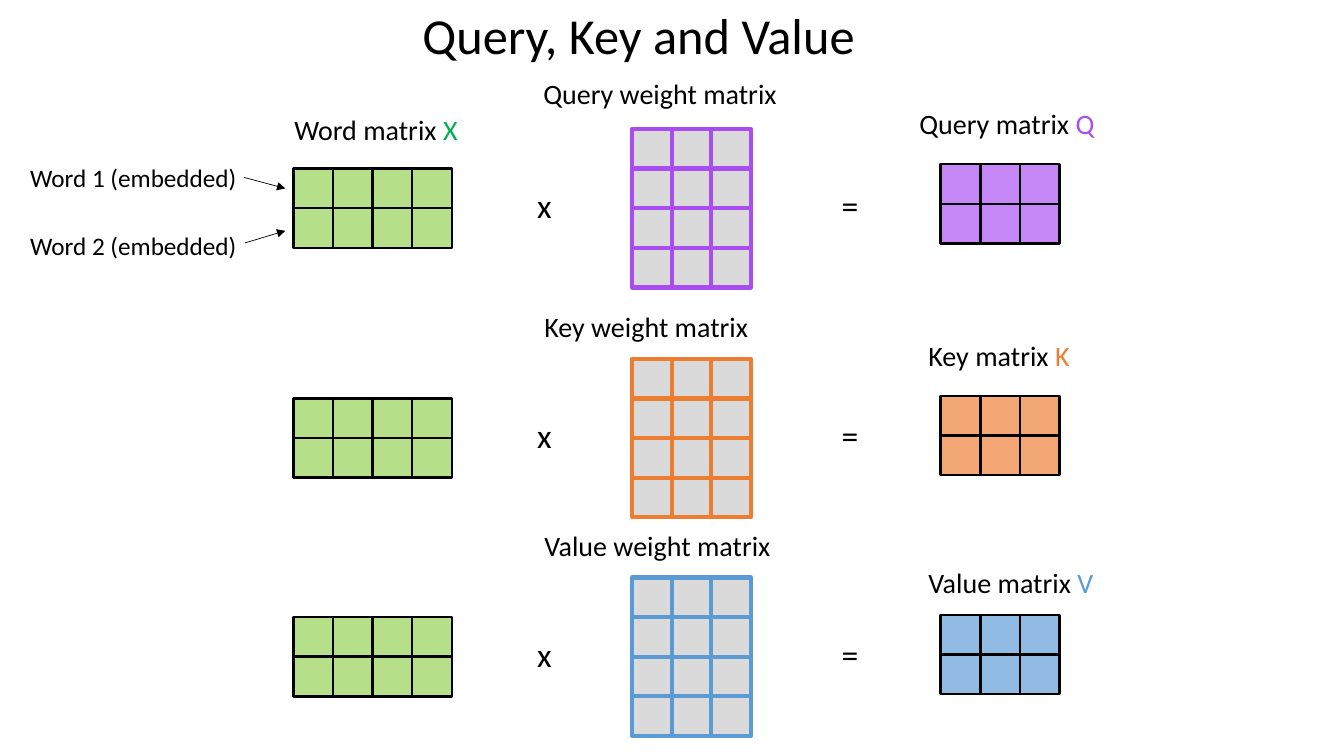
from dataclasses import dataclass
from itertools import product

from lxml import etree
from pptx import Presentation
from pptx import util as u
from pptx.dml.color import RGBColor
from pptx.enum import shapes, text
from pptx.oxml.ns import qn


@dataclass(frozen=True)
class Theme:
    """Colours, font and type sizes of the slide."""
    font: str = "Calibri"
    ink: str = "000000"
    word: str = "92D050"
    mark: str = "00B050"
    grey: str = "C9C9C9"
    query: str = "A94CF2"
    key: str = "ED7D31"
    value: str = "5B9BD5"
    title: int = 36
    sign: int = 24
    label: int = 20
    note: int = 18
    cell: float = 0.393


class Board:
    """Draws styled elements on one slide."""

    def __init__(self, slide, theme):
        """Keep the slide and its theme."""
        self.slide, self.theme = slide, theme

    def letter(self, frame, words, size, tail="", color=None, wrap=True):
        """Fill a frame with words and an optional coloured tail."""
        frame.word_wrap = wrap
        frame.auto_size = text.MSO_AUTO_SIZE.NONE
        frame.vertical_anchor = text.MSO_ANCHOR.TOP
        para = frame.paragraphs[0]
        para.alignment = text.PP_ALIGN.LEFT
        for part, tint in ((words, self.theme.ink), (tail, color)):
            if part:
                run = para.add_run()
                run.text = part
                run.font.name = self.theme.font
                run.font.size = u.Pt(size)
                run.font.color.rgb = RGBColor.from_string(tint)

    def title(self, words, *box):
        """Place the title placeholder."""
        shape = self.slide.shapes.title
        shape.left, shape.top, shape.width, shape.height = map(u.Inches, box)
        self.letter(shape.text_frame, words, self.theme.title)

    def label(self, words, box, size, **style):
        """Add a text box."""
        shape = self.slide.shapes.add_textbox(*map(u.Inches, box))
        self.letter(shape.text_frame, words, size, **style)

    def square(self, left, top, fill, line, width):
        """Add one translucent matrix cell."""
        side = self.theme.cell
        box = map(u.Inches, (left, top, side, side))
        shape = self.slide.shapes.add_shape(shapes.MSO_SHAPE.RECTANGLE, *box)
        shape.shadow.inherit = False
        shape.fill.solid()
        shape.fill.fore_color.rgb = RGBColor.from_string(fill)
        tint = shape._element.spPr.find(qn("a:solidFill"))[0]
        etree.SubElement(tint, qn("a:alpha")).set("val", "67000")
        shape.line.color.rgb = RGBColor.from_string(line)
        shape.line.width = u.Pt(width)

    def matrix(self, left, top, rows, cols, fill, line=None, width=1.75):
        """Add a grid of cells."""
        side = self.theme.cell
        for row, col in product(range(rows), range(cols)):
            self.square(left + col * side, top + row * side,
                        fill, line or self.theme.ink, width)

    def arrow(self, *ends):
        """Add a thin arrow."""
        line = self.slide.shapes.add_connector(
            shapes.MSO_CONNECTOR.STRAIGHT, *map(u.Inches, ends))
        line.line.color.rgb = RGBColor.from_string(self.theme.ink)
        line.line.width = u.Pt(0.5)
        form = line._element.spPr
        head = etree.SubElement(form.find(qn("a:ln")), qn("a:tailEnd"))
        head.set("type", "triangle")
        etree.SubElement(form, qn("a:effectLst"))


def main():
    """Build and save the slide."""
    deck = Presentation()
    deck.slide_width, deck.slide_height = u.Inches(13.33), u.Inches(7.5)
    theme = Theme()
    board = Board(deck.slides.add_slide(deck.slide_layouts[5]), theme)
    board.title("Query, Key and Value", 4.09, -0.01, 8.05, 0.71)

    board.label("Word matrix ", (2.82, 1.07, 1.91, 0.44), theme.label,
                tail="X", color=theme.mark)
    for num, top in ((1, 1.56), (2, 2.24)):
        board.label(f"Word {num} (embedded)", (0.2, top, 4.1, 0.4), theme.note)
    board.arrow(2.42, 1.76, 2.83, 1.87)
    board.arrow(2.43, 2.41, 2.83, 2.29)

    bands = (
        ("Query", "Q", theme.query, 1.28, 1.63, (5.29, 0.71), (9.02, 1.01)),
        ("Key", "K", theme.key, 3.56, 3.93, (5.3, 3.02), (9.11, 3.31)),
        ("Value", "V", theme.value, 5.73, 6.1, (5.3, 5.19), (9.11, 5.56)),
    )
    for name, mark, color, top, end, head, out in bands:
        board.matrix(2.91, top + theme.cell, 2, 4, theme.word)
        board.matrix(6.27, top, 4, 3, theme.grey, color, 3)
        board.matrix(9.33, end, 2, 3, color)
        board.label(f"{name} weight matrix", (*head, 2.53, 0.44), theme.label)
        board.label(f"{name} matrix ", (*out, 2.34, 0.44), theme.label,
                    tail=mark, color=color)
        for sign, left in (("x", 5.23), ("=", 8.25)):
            board.label(sign, (left, top + 0.51, 1.08, 0.5), theme.sign)

    deck.save("out.pptx")


if __name__ == "__main__":
    main()
